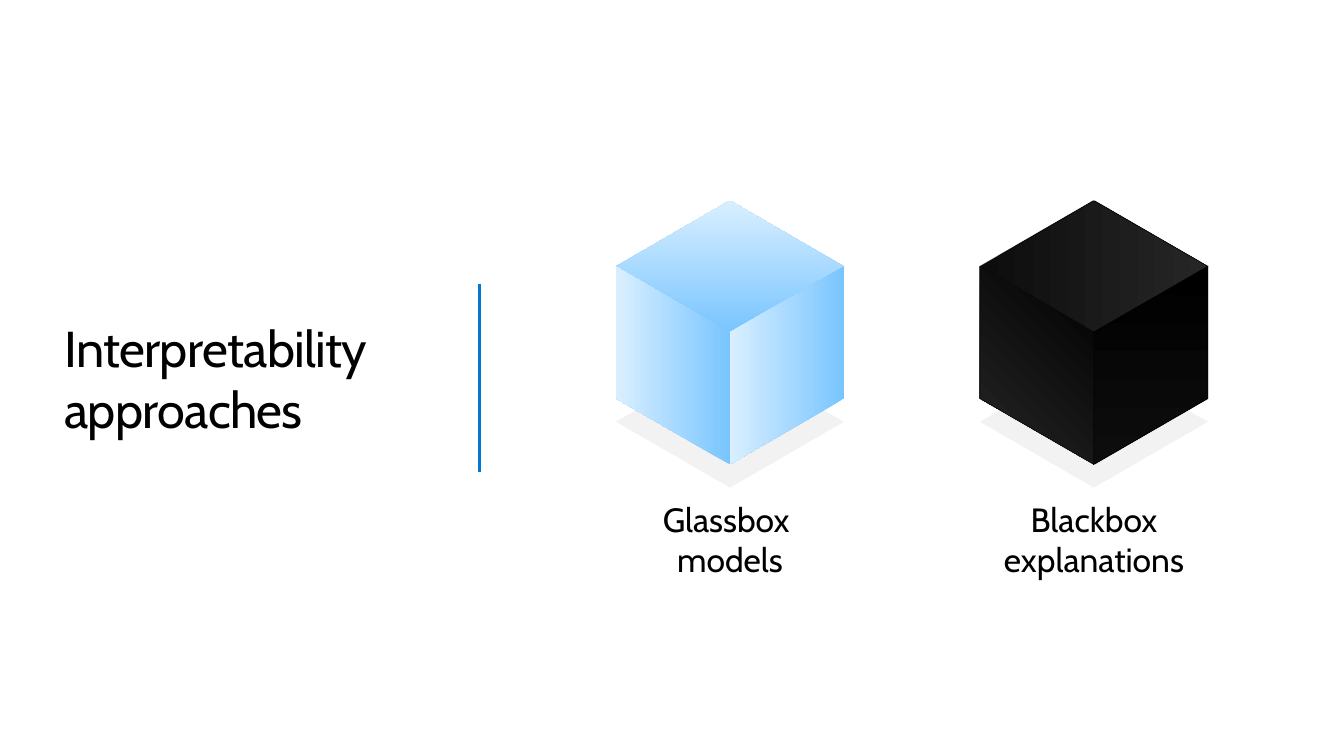
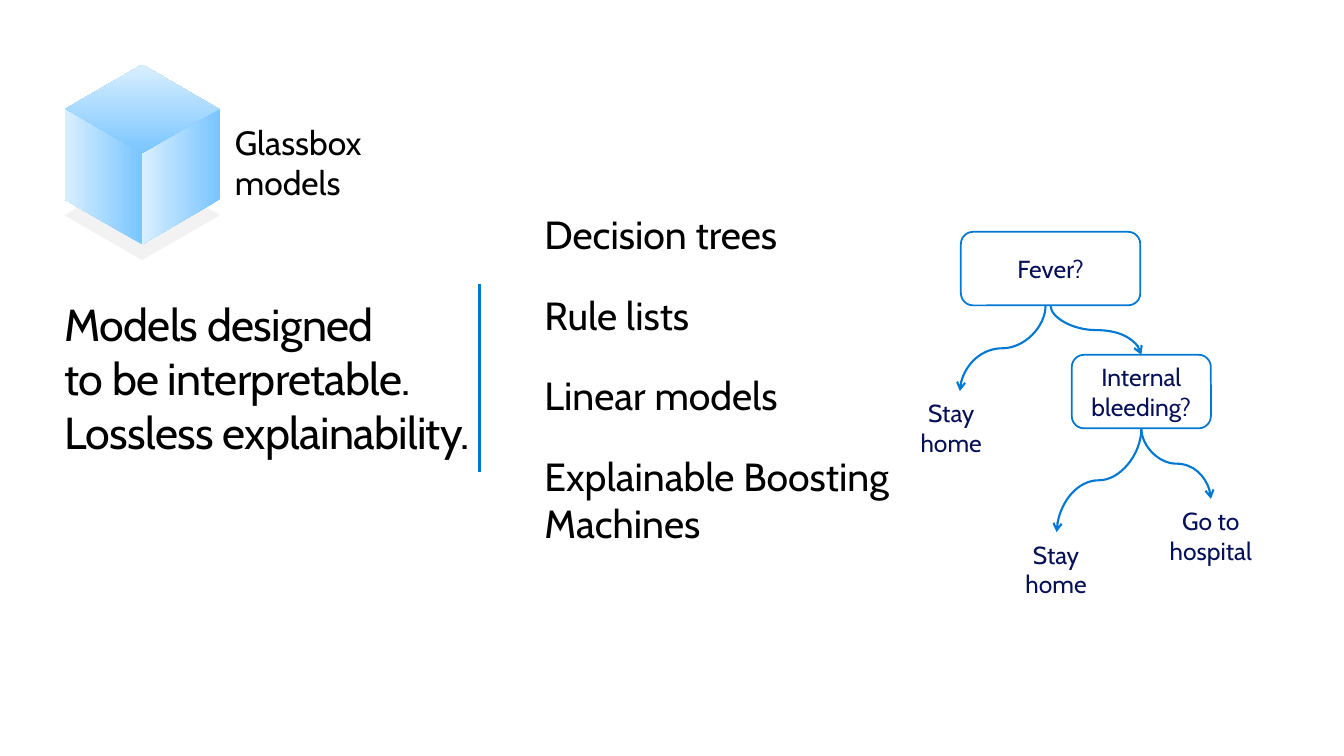
"""Build two slides on glassbox and blackbox interpretability approaches."""
import pptx
import pptx.dml.color
import pptx.enum.shapes
import pptx.enum.text
import pptx.oxml
import pptx.oxml.ns
import pptx.util
from lxml import etree

Inches = pptx.util.Inches
Pt = pptx.util.Pt
RGB = pptx.dml.color.RGBColor.from_string
qn = pptx.oxml.ns.qn
SHAPE = pptx.enum.shapes.MSO_SHAPE
CONNECTOR = pptx.enum.shapes.MSO_CONNECTOR
ALIGN = pptx.enum.text.PP_ALIGN
ANCHOR = pptx.enum.text.MSO_ANCHOR

FONT = "Cabin"
COLORS = {
    "text": "000000",
    "accent": "0078D4",
    "node": "061058",
    "shadow": "E6E6E6",
    "glass_deep": "79C5FF",
    "glass_light": "D9EFFF",
    "black": "000000",
    "coal": "0D0D0D",
    "graphite": "262626",
}
GLASS = [
    ("glass_deep", "glass_light", 90, None),
    ("glass_deep", "glass_light", 180, None),
    ("glass_deep", "glass_light", 180, None),
]
BLACK = [
    ("coal", "graphite", 0, "black"),
    ("black", "graphite", 225, "coal"),
    ("black", "coal", 270, "black"),
]


def write(tf, lines, size, color, align, gap=0, spc=0):
    tf.word_wrap = True
    for i, line in enumerate(lines):
        p = tf.paragraphs[0] if i == 0 else tf.add_paragraph()
        p.text = line
        p.alignment = align
        if i:
            p.space_before = Pt(gap)
        p.font.name = FONT
        p.font.size = Pt(size)
        p.font.color.rgb = RGB(COLORS[color])
        if spc:
            for r in p.runs:
                r._r.get_or_add_rPr().set("spc", str(spc))


def draw_cube(s, left, top, width, faces):
    mid, rise, side, drop = width / 2, width * 0.289, width * 0.58, width * 0.682
    rhombus = [(mid, 0), (0, rise), (mid, 2 * rise), (width, rise)]
    outlines = [[(x, y + drop) for x, y in rhombus], rhombus]
    for edge in (0, width):
        outlines.append([(edge, rise), (edge, rise + side),
                         (mid, 2 * rise + side), (mid, 2 * rise)])
    group = s.shapes.add_group_shape()
    for outline, face in zip(outlines, [None] + faces):
        points = [(Inches(left + x), Inches(top + y)) for x, y in outline]
        builder = group.shapes.build_freeform(*points[0], scale=1.0)
        builder.add_line_segments(points[1:], close=True)
        sp = builder.convert_to_shape()
        sp.shadow.inherit = False
        sp.line.fill.background()
        if face is None:
            sp.fill.solid()
            sp.fill.fore_color.rgb = RGB(COLORS["shadow"])
        else:
            start, end, angle, edge_color = face
            sp.fill.gradient()
            sp.fill.gradient_angle = angle
            for stop, color in zip(sp.fill.gradient_stops, (start, end)):
                stop.color.rgb = RGB(COLORS[color])
            if edge_color:
                sp.line.color.rgb = RGB(COLORS[edge_color])
                sp.line.width = Pt(0.75)
        for clr in sp._element.spPr.xpath(
                "./a:solidFill/a:srgbClr | ./a:ln/a:solidFill/a:srgbClr"):
            etree.SubElement(clr, qn("a:alpha")).set("val", "50000")


prs = pptx.Presentation()
prs.slide_width, prs.slide_height = Inches(13.33), Inches(7.5)
approaches, glassbox = [prs.slides.add_slide(prs.slide_layouts[6]) for _ in range(2)]

for s in (approaches, glassbox):
    divider = s.shapes.add_connector(
        CONNECTOR.STRAIGHT, Inches(4.76), Inches(2.82), Inches(4.76), Inches(4.68))
    divider.line.color.rgb = RGB(COLORS["accent"])
    divider.line.width = Pt(2.25)
    etree.SubElement(divider._element.spPr, qn("a:effectLst"))

for s, left, top, width, faces in [
    (approaches, 6.11, 1.99, 2.26, GLASS),
    (approaches, 9.72, 1.99, 2.26, BLACK),
    (glassbox, 0.64, 0.64, 1.54, GLASS),
]:
    draw_cube(s, left, top, width, faces)

topics = ["Decision trees", "Rule lists", "Linear models", "Explainable Boosting Machines"]
claim = "Models designed\nto be interpretable.\nLossless explainability."
for s, box, lines, size, align, anchor, gap, spc in [
    (approaches, (0.64, 0.64, 3.48, 6.22), ["Interpretability approaches"],
     36, ALIGN.LEFT, ANCHOR.MIDDLE, 0, -50),
    (approaches, (6.11, 4.95, 2.26, 0.81), ["Glassbox \nmodels"],
     24, ALIGN.CENTER, ANCHOR.TOP, 0, 0),
    (approaches, (9.72, 4.95, 2.26, 0.81), ["Blackbox explanations"],
     24, ALIGN.CENTER, ANCHOR.TOP, 0, 0),
    (glassbox, (0.64, 2.67, 4.12, 2.15), [claim],
     32, ALIGN.LEFT, ANCHOR.MIDDLE, 0, -50),
    (glassbox, (2.33, 1.21, 1.54, 0.81), ["Glassbox \nmodels"],
     24, ALIGN.LEFT, ANCHOR.TOP, 0, 0),
    (glassbox, (5.4, 2.07, 3.49, 3.37), topics,
     28, ALIGN.LEFT, ANCHOR.MIDDLE, 24, 0),
]:
    tf = s.shapes.add_textbox(*map(Inches, box)).text_frame
    tf.margin_left = tf.margin_top = tf.margin_right = tf.margin_bottom = 0
    tf.vertical_anchor = anchor
    write(tf, lines, size, "text", align, gap, spc)

for label, left, top, width, outlined in [
    ("Fever?", 9.53, 2.3, 1.78, True),
    ("Internal bleeding?", 10.63, 3.52, 1.38, True),
    ("Stay home", 8.87, 3.88, 1.13, False),
    ("Stay home", 9.91, 5.28, 1.13, False),
    ("Go to hospital", 11.38, 4.95, 1.26, False),
]:
    node = glassbox.shapes.add_shape(
        SHAPE.ROUNDED_RECTANGLE, Inches(left), Inches(top), Inches(width), Inches(0.73))
    node.shadow.inherit = False
    node.fill.background()
    if outlined:
        node.line.color.rgb = RGB(COLORS["accent"])
        node.line.width = Pt(1.25)
    else:
        node.line.fill.background()
    node.text_frame.vertical_anchor = ANCHOR.MIDDLE
    write(node.text_frame, [label], 17.6, "node", ALIGN.CENTER)

for x1, y1, x2, y2 in [
    (10.37, 3.03, 9.52, 3.88),
    (10.42, 3.03, 11.32, 3.52),
    (11.32, 4.25, 10.48, 5.28),
    (11.32, 4.25, 12.01, 4.95),
]:
    cx, cy = (x1 + x2) / 2, (y1 + y2) / 2
    half_w, half_h = (y2 - y1) / 2, abs(x2 - x1) / 2
    branch = glassbox.shapes.add_connector(
        CONNECTOR.CURVE, Inches(cx - half_w), Inches(cy - half_h),
        Inches(cx + half_w), Inches(cy + half_h))
    xfrm = branch._element.spPr.find(qn("a:xfrm"))
    if x2 > x1:
        xfrm.set("rot", "16200000")
        xfrm.set("flipH", "1")
    else:
        xfrm.set("rot", "5400000")
    branch.line.color.rgb = RGB(COLORS["accent"])
    branch.line.width = Pt(1.5)
    ln = branch._element.spPr.find(qn("a:ln"))
    etree.SubElement(ln, qn("a:tailEnd")).set("type", "arrow")
    etree.SubElement(branch._element.spPr, qn("a:effectLst"))

prs.save("out.pptx")
